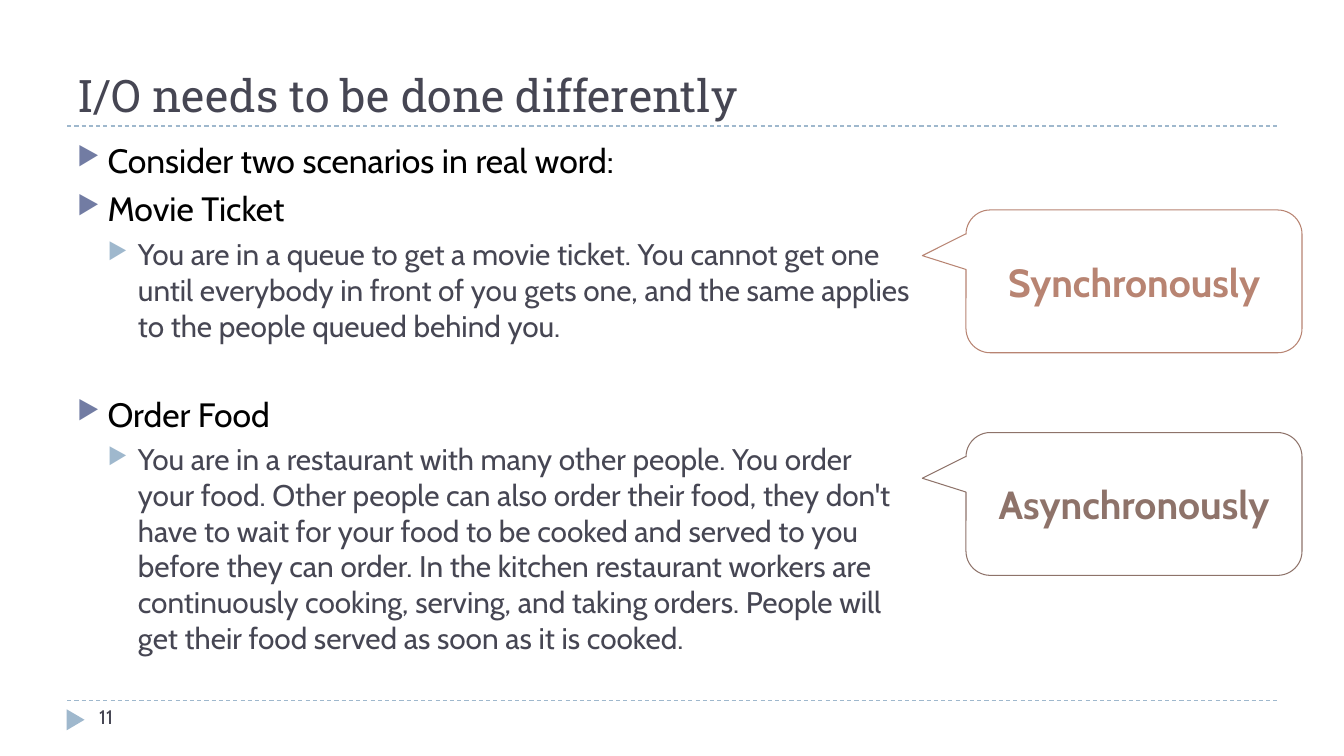
from lxml.etree import SubElement
from pptx import Presentation
from pptx.dml.color import RGBColor
from pptx.enum.dml import MSO_LINE
from pptx.enum.shapes import MSO_CONNECTOR, MSO_SHAPE
from pptx.enum.text import MSO_ANCHOR as ANCHOR, PP_ALIGN as ALIGN
from pptx.oxml.ns import qn
from pptx.util import Emu, Pt

PX = 9525  # EMU per px, 96 px to the inch
COLORS = {
    "ink": "464653",
    "black": "000000",
    "rule": "9FB8CD",
    "bullet": "727CA3",
    "sync": "B88472",
    "async": "8E736A",
}
HEADING_FONT, TEXT_FONT = "Roboto Slab", "Cabin"

# Per outline level: size, text colour, bullet colour, indent px, space before
LEVELS = [
    (24.1, "black", "bullet", 29, 6),
    (21.3, "ink", "rule", 58, 5),
]
SCENARIO_GAP = 36  # points above a new scenario

# Level, space before (None for the level's own), text
OUTLINE = [
    (0, None, "Consider two scenarios in real word:"),
    (0, None, "Movie Ticket"),
    (1, None, "You are in a queue to get a movie ticket. You cannot get one "
              "until everybody in front of you gets one, and the same applies "
              "to the people queued behind you."),
    (0, SCENARIO_GAP, "Order Food"),
    (1, None, "You are in a restaurant with many other people. You order your "
              "food. Other people can also order their food, they don't have "
              "to wait for your food to be cooked and served to you before "
              "they can order. In the kitchen restaurant workers are "
              "continuously cooking, serving, and taking orders. People will "
              "get their food served as soon as it is cooked."),
]


def px(*lengths):
    return [Emu(length * PX) for length in lengths]


def rgb(name):
    return RGBColor.from_string(COLORS[name])


def add_run(paragraph, text, size, color, font=TEXT_FONT, bold=False):
    run = paragraph.add_run()
    run.text = text
    run.font.size = Pt(size)
    run.font.name = font
    run.font.bold = bold
    run.font.color.rgb = rgb(color)


def add_frame(slide, box, anchor=ANCHOR.TOP):
    frame = slide.shapes.add_textbox(*px(*box)).text_frame
    frame.word_wrap = True
    frame.vertical_anchor = anchor
    return frame


def add_rule(slide, left, top, width):
    rule = slide.shapes.add_connector(
        MSO_CONNECTOR.STRAIGHT, *px(left, top, left + width, top))
    rule.line.color.rgb = rgb("rule")
    rule.line.width = Pt(0.75)
    rule.line.dash_style = MSO_LINE.DASH
    SubElement(rule._element.spPr, qn("a:effectLst"))


def add_bullet(paragraph, color, indent, hanging):
    props = paragraph._p.get_or_add_pPr()
    props.set("marL", str(indent * PX))
    props.set("indent", str(-hanging * PX))
    bullet_color = SubElement(props, qn("a:buClr"))
    SubElement(bullet_color, qn("a:srgbClr"), val=COLORS[color])
    SubElement(props, qn("a:buSzPct"), val="76000")
    SubElement(props, qn("a:buChar"), char="▶")


def title_region(slide, box):
    left, top, width, height = box
    add_rule(slide, left, top + height, width)
    title = add_frame(slide, box, ANCHOR.BOTTOM).paragraphs[0]
    add_run(title, "I/O needs to be done differently", 32, "ink", HEADING_FONT)


def outline_region(slide, box):
    frame = add_frame(slide, box)
    for i, (level, gap, text) in enumerate(OUTLINE):
        size, color, bullet_color, indent, before = LEVELS[level]
        item = frame.add_paragraph() if i else frame.paragraphs[0]
        item.level = level
        item.space_before = Pt(gap or before)
        add_bullet(item, bullet_color, indent, LEVELS[0][3])
        add_run(item, text, size, color)


def callout(slide, box, label, color):
    bubble = slide.shapes.add_shape(
        MSO_SHAPE.ROUNDED_RECTANGULAR_CALLOUT, *px(*box))
    for i, value in enumerate((-0.63, -0.18, 0.17)):
        bubble.adjustments[i] = value
    bubble.shadow.inherit = False
    bubble.fill.background()
    bubble.line.color.rgb = rgb(color)
    bubble.line.width = Pt(0.75)
    frame = bubble.text_frame
    frame.word_wrap = True
    frame.vertical_anchor = ANCHOR.MIDDLE
    frame.paragraphs[0].alignment = ALIGN.CENTER
    add_run(frame.paragraphs[0], label, 28, color, bold=True)


def footer_region(slide, box):
    left, top, width, height = box
    add_rule(slide, left, top, width)
    # Page marker and number
    marker = slide.shapes.add_shape(
        MSO_SHAPE.ISOSCELES_TRIANGLE, *px(left - 2, top + 10, 20, 17))
    marker.rotation = 90
    marker.shadow.inherit = False
    marker.fill.solid()
    marker.fill.fore_color.rgb = rgb("rule")
    marker.line.fill.background()
    number = add_frame(slide, (left + 21, top, 277, height)).paragraphs[0]
    add_run(number, "11", 14, "ink")


def main():
    deck = Presentation()
    deck.slide_width, deck.slide_height = px(1280, 720)
    slide = deck.slides.add_slide(deck.slide_layouts[6])
    title_region(slide, (64, 16, 1152, 104))
    outline_region(slide, (64, 128, 816, 518))
    for top, label, color in ((200, "Synchronously", "sync"),
                              (412, "Asynchronously", "async")):
        callout(slide, (920, top, 320, 136), label, color)
    footer_region(slide, (64, 667, 1152, 38))
    deck.save("out.pptx")


if __name__ == "__main__":
    main()
